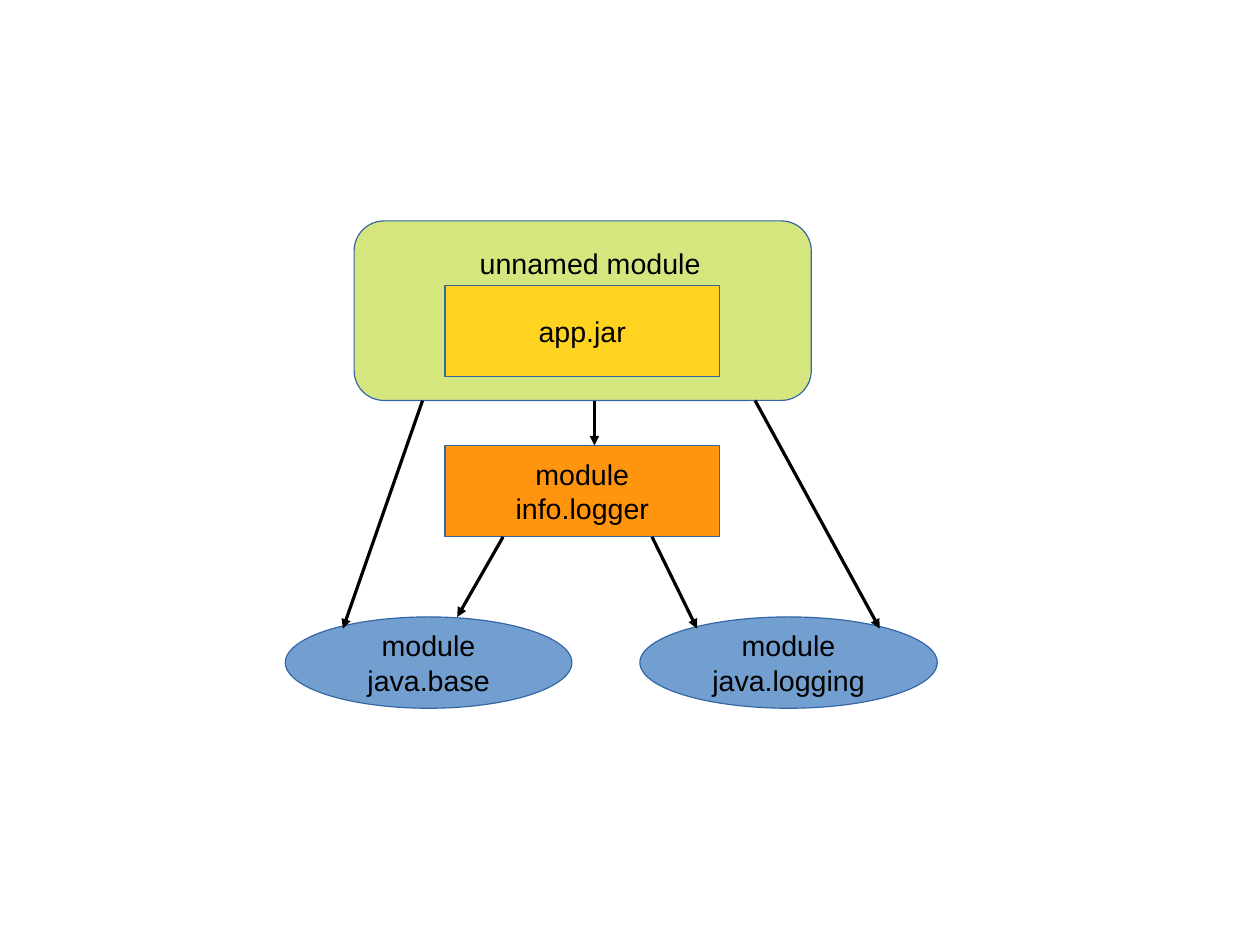
import pptx
import pptx.dml.color
import pptx.enum.shapes
import pptx.enum.text
import pptx.oxml.ns
import pptx.util
from lxml import etree

Cm = pptx.util.Cm
SHAPE = pptx.enum.shapes.MSO_SHAPE
ALIGN = pptx.enum.text.PP_ALIGN

THEME = {
    "unnamed": "AECF00", "jar": "FFD320", "library": "FF950E", "platform": "729FCF",
    "outline": "3465A4", "ink": "000000",
    "font": "Arial", "size": pptx.util.Pt(18), "hairline": 0, "unnamed_opacity": 50,
}

# All lengths are in centimetres.
NODE_HEIGHT = 2.03
UNNAMED_TOP, UNNAMED_HEIGHT = 4.91, 3.99
JAR_TOP, LIBRARY_TOP, PLATFORM_TOP = 6.34, 9.9, 13.71
UNNAMED_BOTTOM = UNNAMED_TOP + UNNAMED_HEIGHT
LIBRARY_BOTTOM = LIBRARY_TOP + NODE_HEIGHT
PLATFORM_SHOULDER = PLATFORM_TOP + 0.26

# text, preset, fill, left, top, width
NODES = [
    ("app.jar", SHAPE.RECTANGLE, "jar", 9.89, JAR_TOP, 6.1),
    ("module\ninfo.logger", SHAPE.RECTANGLE, "library", 9.89, LIBRARY_TOP, 6.1),
    ("module\njava.base", SHAPE.OVAL, "platform", 6.34, PLATFORM_TOP, 6.37),
    ("module\njava.logging", SHAPE.OVAL, "platform", 14.22, PLATFORM_TOP, 6.61),
]

# start x, start y, end x, end y
DEPENDENCIES = [
    (11.18, LIBRARY_BOTTOM, 10.16, PLATFORM_TOP),
    (14.49, LIBRARY_BOTTOM, 15.49, PLATFORM_SHOULDER),
    (13.21, UNNAMED_BOTTOM, 13.21, LIBRARY_TOP),
    (9.39, UNNAMED_BOTTOM, 7.62, PLATFORM_SHOULDER),
    (16.78, UNNAMED_BOTTOM, 19.55, PLATFORM_SHOULDER),
]


def color(name):
    return pptx.dml.color.RGBColor.from_string(THEME[name])


def add_child(parent, tag, **attributes):
    return etree.SubElement(parent, pptx.oxml.ns.qn(tag), attributes)


def write_text(shape, text, alignment):
    frame = shape.text_frame
    frame.text = text
    for paragraph in frame.paragraphs:
        paragraph.alignment = alignment
        paragraph.font.name = THEME["font"]
        paragraph.font.size = THEME["size"]
        paragraph.font.color.rgb = color("ink")


def add_box(slide, preset, fill, left, top, width, height):
    shape = slide.shapes.add_shape(preset, Cm(left), Cm(top), Cm(width), Cm(height))
    shape.shadow.inherit = False
    shape.fill.solid()
    shape.fill.fore_color.rgb = color(fill)
    shape.line.color.rgb = color("outline")
    shape.line.width = THEME["hairline"]
    return shape


def add_unnamed_module(slide):
    container = add_box(slide, SHAPE.ROUNDED_RECTANGLE, "unnamed",
                        7.87, UNNAMED_TOP, 10.16, UNNAMED_HEIGHT)
    fill_color = container.fill._xPr.find(".//" + pptx.oxml.ns.qn("a:srgbClr"))
    add_child(fill_color, "a:alpha", val=str(THEME["unnamed_opacity"] * 1000))


def add_node(slide, text, preset, fill, left, top, width):
    node = add_box(slide, preset, fill, left, top, width, NODE_HEIGHT)
    write_text(node, text, ALIGN.CENTER)
    node.text_frame.word_wrap = False
    node.text_frame.vertical_anchor = pptx.enum.text.MSO_ANCHOR.MIDDLE


def add_dependency(slide, *ends):
    arrow = slide.shapes.add_connector(
        pptx.enum.shapes.MSO_CONNECTOR.STRAIGHT, *map(Cm, ends))
    arrow.line.color.rgb = color("ink")
    arrow.line.width = THEME["hairline"]
    add_child(arrow.line._get_or_add_ln(), "a:tailEnd", type="triangle")
    add_child(arrow._element.spPr, "a:effectLst")


def add_unnamed_label(slide):
    label = slide.shapes.add_textbox(Cm(10.41), Cm(5.33), Cm(6.1), Cm(1.68))
    label.text_frame.word_wrap = True
    write_text(label, "unnamed module", ALIGN.LEFT)


def main():
    presentation = pptx.Presentation()
    presentation.slide_width, presentation.slide_height = Cm(28), Cm(21)
    slide = presentation.slides.add_slide(presentation.slide_layouts[6])
    add_unnamed_module(slide)
    for node in NODES:
        add_node(slide, *node)
    for dependency in DEPENDENCIES:
        add_dependency(slide, *dependency)
    add_unnamed_label(slide)
    presentation.save("out.pptx")


if __name__ == "__main__":
    main()
